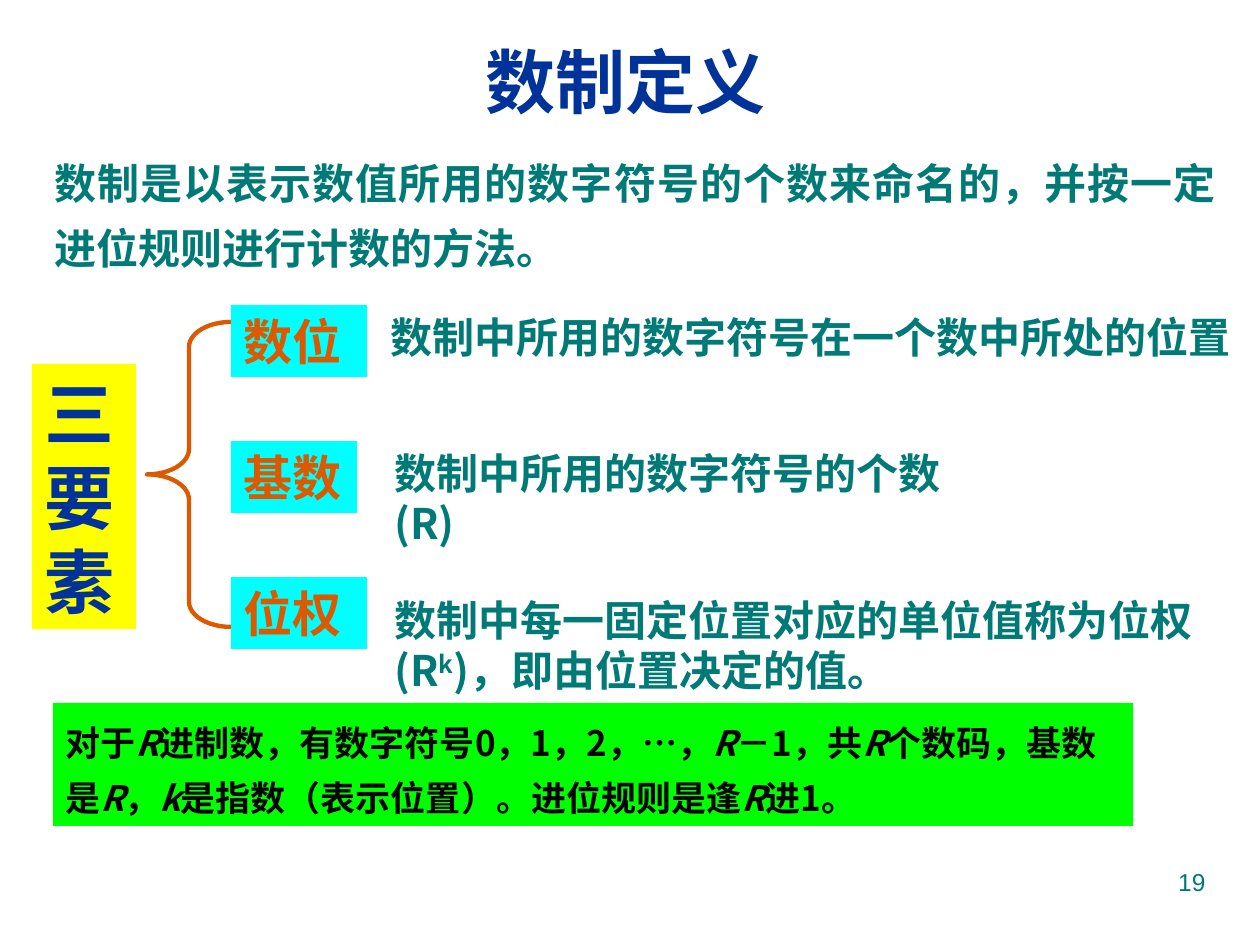
from pptx import Presentation
from pptx.dml.color import RGBColor
from pptx.enum.shapes import MSO_SHAPE
from pptx.enum.text import MSO_ANCHOR, MSO_AUTO_SIZE, PP_ALIGN
from pptx.oxml.ns import qn
from pptx.util import Pt
from lxml import etree

RECT, BRACE = MSO_SHAPE.RECTANGLE, MSO_SHAPE.LEFT_BRACE
TOP = MSO_ANCHOR.TOP
FIT, NO_FIT = MSO_AUTO_SIZE.SHAPE_TO_FIT_TEXT, MSO_AUTO_SIZE.NONE
LEFT, RIGHT, JUSTIFY = PP_ALIGN.LEFT, PP_ALIGN.RIGHT, PP_ALIGN.JUSTIFY

NAVY = RGBColor(0x00, 0x33, 0x99)
TEAL = RGBColor(0x00, 0x7A, 0x77)
ORANGE = RGBColor(0xDC, 0x59, 0x00)
CYAN = RGBColor(0x00, 0xFF, 0xFF)
YELLOW = RGBColor(0xFF, 0xFF, 0x00)
GREEN = RGBColor(0x00, 0xFF, 0x00)
BLACK = RGBColor(0x08, 0x03, 0x00)

CJK, SANS = "Noto Sans CJK SC", "Arial"
PX = 914400 / 126


def px(*values):
    return [round(v * PX) for v in values]


def write(sp, runs, size, color, font=CJK, bold=True, align=LEFT,
          spacing=None, wrap=True, fit=FIT):
    """Fill one paragraph; runs are (text, style), style '', 'italic' or 'super'."""
    tf = sp.text_frame
    tf.word_wrap = wrap
    tf.auto_size = fit
    tf.vertical_anchor = TOP
    p = tf.paragraphs[0]
    p.alignment = align
    if spacing:
        p.line_spacing = spacing
    for text, style in runs:
        r = p.add_run()
        r.text = text
        r.font.size = Pt(size)
        r.font.bold = bold
        r.font.color.rgb = color
        r.font.name = font
        rPr = r.font._element
        etree.SubElement(rPr, qn("a:ea")).set("typeface", font)
        if style == "italic":
            r.font.italic = True
        elif style == "super":
            rPr.set("baseline", "30000")


def add_text(s, box, runs, size, color, **options):
    write(s.shapes.add_textbox(*px(*box)), runs, size, color, **options)


def add_block(s, box, fill, runs, size, color, **options):
    sp = s.shapes.add_shape(RECT, *px(*box))
    sp.shadow.inherit = False
    sp.fill.solid()
    sp.fill.fore_color.rgb = fill
    sp.line.fill.background()
    write(sp, runs, size, color, **options)


def add_brace(s, box):
    sp = s.shapes.add_shape(BRACE, *px(*box))
    sp.shadow.inherit = False
    sp.adjustments[0] = 0.3
    sp.adjustments[1] = 0.5
    sp.fill.background()
    sp.line.color.rgb = ORANGE
    sp.line.width = Pt(2.5)


def main():
    prs = Presentation()
    prs.slide_width, prs.slide_height = px(1260, 945)
    s = prs.slides.add_slide(prs.slide_layouts[6])

    add_text(s, (473, 32, 305, 97), [("数制定义", "")], 40, NAVY, wrap=False)
    add_text(s, (42, 136, 1187, 145),
             [("数制是以表示数值所用的数字符号的个数来命名的，并按一定进位规则进行计数的方法。", "")],
             24, TEAL, align=JUSTIFY, spacing=1.3)

    elements = [("数位", 136), ("基数", 126), ("位权", 136)]
    for i, (name, width) in enumerate(elements):
        add_block(s, (231, 305 + 136 * i, width, 72), CYAN, [(name, "")],
                  28, ORANGE, font=SANS)
    add_brace(s, (147, 322, 84, 305))
    add_block(s, (32, 364, 104, 265), YELLOW, [("三要素", "")], 40, NAVY)

    add_text(s, (378, 305, 870, 63),
             [("数制中所用的数字符号在一个数中所处的位置", "")], 24, TEAL, wrap=False)
    add_text(s, (382, 441, 600, 114),
             [("数制中所用的数字符号的个数(R)", "")], 24, TEAL)
    add_text(s, (382, 588, 847, 115),
             [("数制中每一固定位置对应的单位值称为位权(R", ""), ("k", "super"),
              (")，即由位置决定的值。", "")], 24, TEAL)

    add_block(s, (53, 703, 1080, 123), GREEN,
              [("对于", ""), ("R", "italic"), ("进制数，有数字符号0，1，2，…，", ""),
               ("R", "italic"), ("－1，共", ""), ("R", "italic"),
               ("个数码，基数是", ""), ("R", "italic"), ("，", ""), ("k", "italic"),
               ("是指数（表示位置）。进位规则是逢", ""), ("R", "italic"), ("进1。", "")],
              20, BLACK, spacing=1.3)
    add_text(s, (903, 861, 315, 66), [("19", "")], 14, TEAL, font=SANS,
             bold=False, align=RIGHT, fit=NO_FIT)

    prs.save("out.pptx")


if __name__ == "__main__":
    main()
